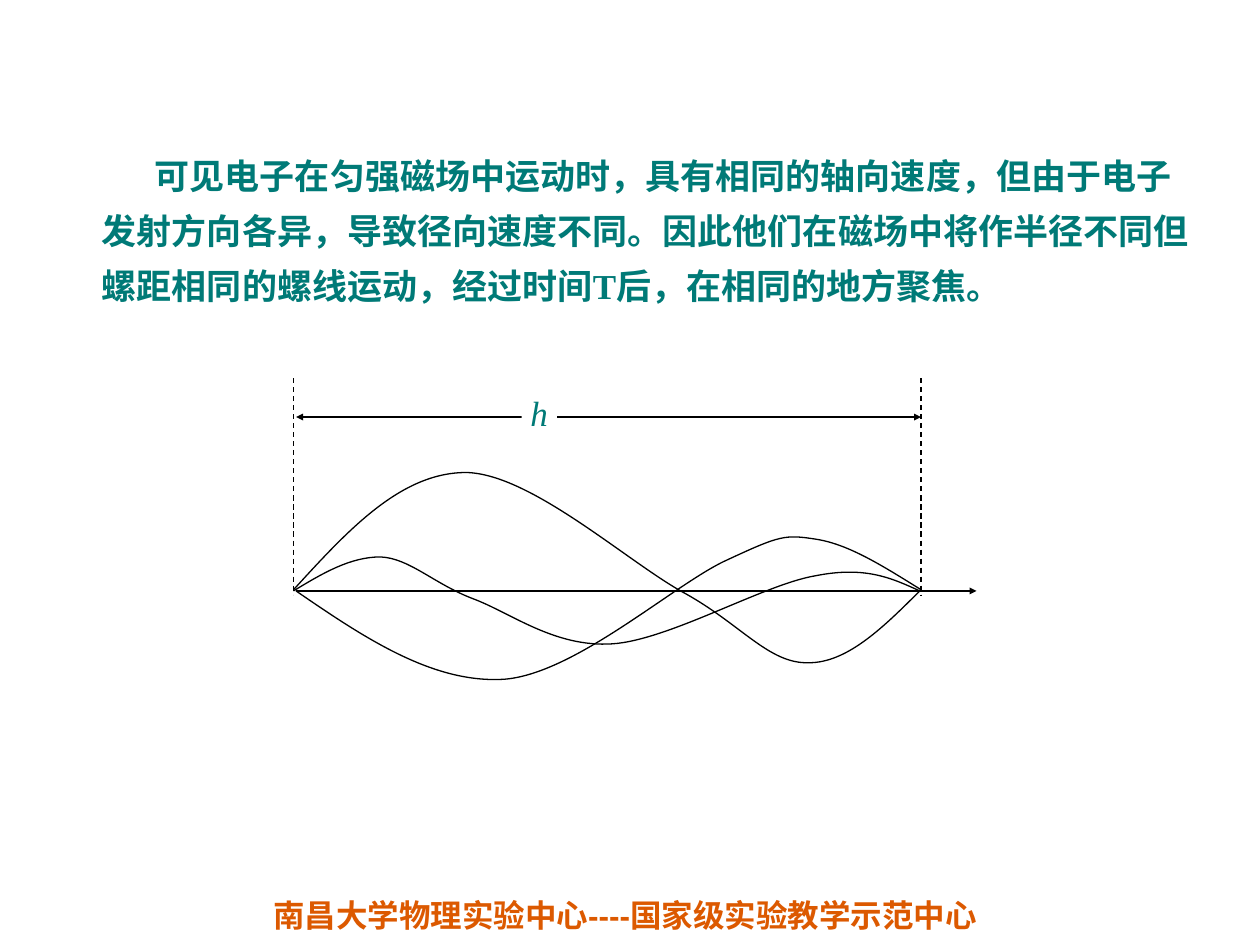
from dataclasses import dataclass

from lxml.etree import SubElement
from pptx import Presentation
from pptx.dml.color import RGBColor
from pptx.enum.dml import MSO_LINE
from pptx.enum.shapes import MSO_CONNECTOR, MSO_SHAPE
from pptx.enum.text import MSO_ANCHOR, PP_ALIGN
from pptx.oxml.ns import qn
from pptx.util import Inches, Pt

BLACK = RGBColor(0x00, 0x00, 0x00)
WHITE = RGBColor(0xFF, 0xFF, 0xFF)
TEAL = RGBColor(0x00, 0x7A, 0x77)
ORANGE = RGBColor(0xDC, 0x59, 0x00)

Point = tuple[float, float]


@dataclass
class Line:
    start: Point
    end: Point
    dashed: bool = False
    head: bool = False
    tail: bool = False


@dataclass
class Trajectory:
    """A start point, then two control points and an end point per segment."""
    points: list[Point]


def add_line(slide, line: Line):
    ends = [Inches(v) for v in line.start + line.end]
    c = slide.shapes.add_connector(MSO_CONNECTOR.STRAIGHT, *ends)
    c.line.color.rgb = BLACK
    c.line.width = Pt(0.75)
    if line.dashed:
        c.line.dash_style = MSO_LINE.DASH
    ln = c.line._get_or_add_ln()
    for tag, shown in (("a:headEnd", line.head), ("a:tailEnd", line.tail)):
        if shown:
            SubElement(ln, qn(tag), type="triangle", w="sm", len="sm")
    SubElement(c._element.spPr, qn("a:effectLst"))
    return c


def add_trajectory(slide, curve: Trajectory):
    # The builder rounds to whole units, so count in hundredths of an inch
    first, *rest = [(round(x * 100), round(y * 100)) for x, y in curve.points]
    fb = slide.shapes.build_freeform(*first, scale=Inches(0.01))
    fb.add_line_segments(rest, close=False)
    sp = fb.convert_to_shape()
    sp.shadow.inherit = False
    sp.fill.background()
    sp.line.color.rgb = BLACK
    sp.line.width = Pt(0.75)
    # Join every three straight segments into one Bezier segment
    outline = next(sp._element.iter(qn("a:path")))
    steps = outline.findall(qn("a:lnTo"))
    for i in range(0, len(steps), 3):
        bezier = SubElement(outline, qn("a:cubicBezTo"))
        for step in steps[i:i + 3]:
            bezier.append(step[0])
            outline.remove(step)
    return sp


def add_run(p, text: str, size: float, color: RGBColor, font: str = "Arial",
            bold: bool = False, italic: bool = False):
    r = p.add_run()
    r.text = text
    f = r.font
    f.name, f.size, f.bold, f.italic = font, Pt(size), bold, italic
    f.color.rgb = color
    return r


def add_text_box(slide, left: float, top: float, width: float, height: float):
    box = slide.shapes.add_textbox(*map(Inches, (left, top, width, height)))
    box.text_frame.word_wrap = True
    return box.text_frame.paragraphs[0]


# Key positions of the diagram
LEFT, RIGHT, AXIS_Y, PITCH_Y = 2.33, 7.31, 4.69, 3.31

LINES = [
    Line((2.35, AXIS_Y), (7.75, AXIS_Y), tail=True),
    Line((LEFT, 3), (LEFT, 4.72), dashed=True),
    Line((RIGHT, 3), (RIGHT, 4.73), dashed=True),
    Line((2.35, PITCH_Y), (RIGHT, PITCH_Y), head=True, tail=True),
]

TRAJECTORIES = [
    Trajectory([(2.35, 4.69), (2.89, 5.06), (3.44, 5.43), (4.01, 5.39),
                (4.58, 5.34), (5.37, 4.62), (5.78, 4.44),
                (6.19, 4.25), (6.23, 4.24), (6.48, 4.28),
                (6.74, 4.32), (7.02, 4.5), (7.31, 4.68)]),
    Trajectory([(2.33, 4.69), (2.56, 4.55), (2.78, 4.42), (3.02, 4.42),
                (3.25, 4.43), (3.44, 4.63), (3.75, 4.75),
                (4.05, 4.86), (4.4, 5.14), (4.86, 5.11),
                (5.31, 5.08), (6.06, 4.64), (6.47, 4.57),
                (6.87, 4.49), (7.08, 4.59), (7.3, 4.69)]),
    Trajectory([(2.33, 4.68), (2.76, 4.21), (3.18, 3.75), (3.7, 3.75),
                (4.21, 3.76), (4.97, 4.45), (5.42, 4.7),
                (5.88, 4.95), (6.1, 5.27), (6.42, 5.26),
                (6.73, 5.26), (7.02, 4.97), (7.31, 4.68)]),
]


def main():
    prs = Presentation()
    prs.slide_width, prs.slide_height = Inches(10), Inches(7.5)
    s = prs.slides.add_slide(prs.slide_layouts[6])

    # Footer
    p = add_text_box(s, 1.75, 7.06, 6.42, 0.52)
    p.alignment = PP_ALIGN.CENTER
    add_run(p, "南昌大学物理实验中心----国家级实验教学示范中心", 18, ORANGE, bold=True)

    # Explanation with an indented first line
    p = add_text_box(s, 0.33, 1.08, 9.25, 1.75)
    p.line_spacing = 1.3
    pPr = p._p.get_or_add_pPr()
    pPr.set("marL", str(Inches(0.38)))
    pPr.set("indent", str(Inches(0.42)))
    add_run(p, "可见电子在匀强磁场中运动时，具有相同的轴向速度，但由于电子发射方向各异，"
               "导致径向速度不同。因此他们在磁场中将作半径不同但螺距相同的螺线运动，经过时间",
            20, TEAL, bold=True)
    add_run(p, "T", 20, TEAL, "Times New Roman", bold=True)
    add_run(p, "后，在相同的地方聚焦。", 20, TEAL, bold=True)

    # Axis, limits, pitch arrow and electron paths
    for line in LINES:
        add_line(s, line)
    for curve in TRAJECTORIES:
        add_trajectory(s, curve)

    # Pitch label over its arrow
    sp = s.shapes.add_shape(MSO_SHAPE.RECTANGLE,
                            *map(Inches, (4.14, 3.19, 0.28, 0.26)))
    sp.shadow.inherit = False
    sp.fill.solid()
    sp.fill.fore_color.rgb = WHITE
    sp.line.fill.background()
    tf = sp.text_frame
    tf.margin_left = Inches(0.07)
    tf.margin_top = tf.margin_right = tf.margin_bottom = 0
    tf.vertical_anchor = MSO_ANCHOR.TOP
    p = tf.paragraphs[0]
    p.alignment = PP_ALIGN.JUSTIFY
    p.line_spacing = 0.72
    add_run(p, "h", 20, TEAL, "Times New Roman", italic=True)

    prs.save("out.pptx")


if __name__ == "__main__":
    main()
